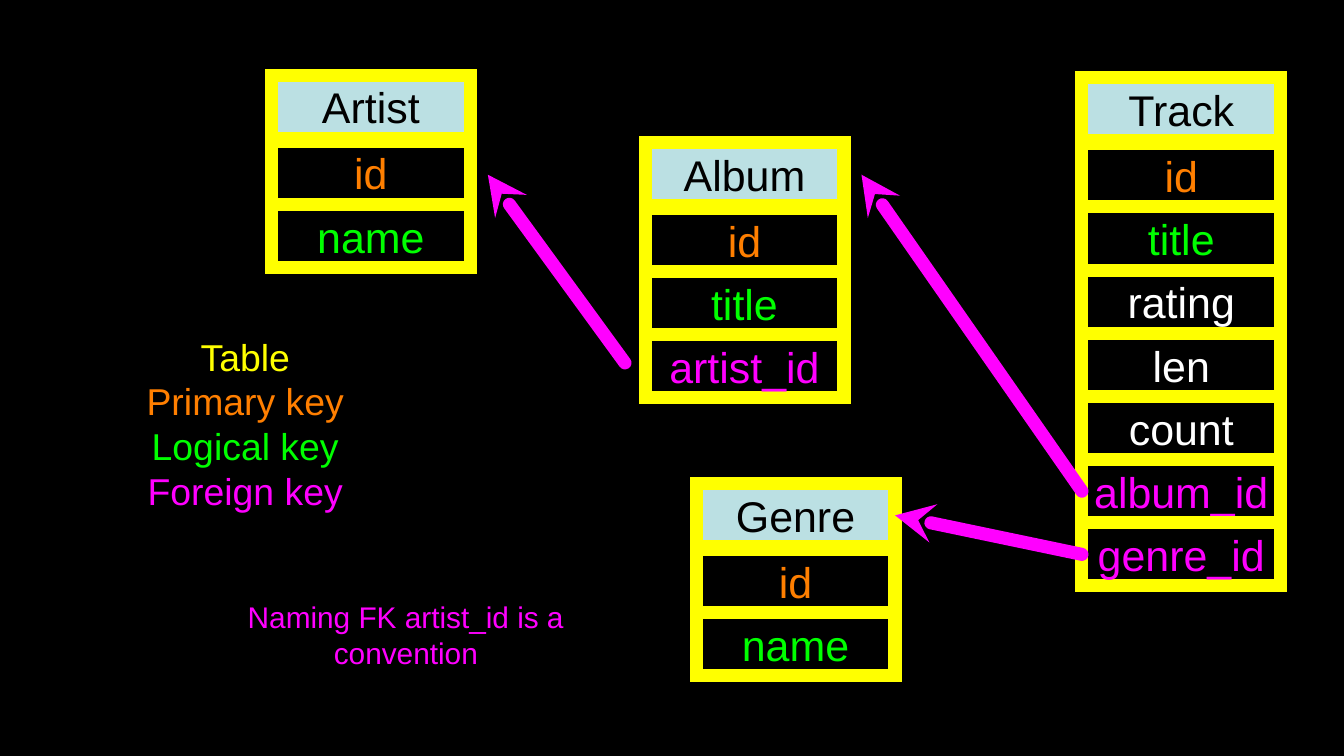
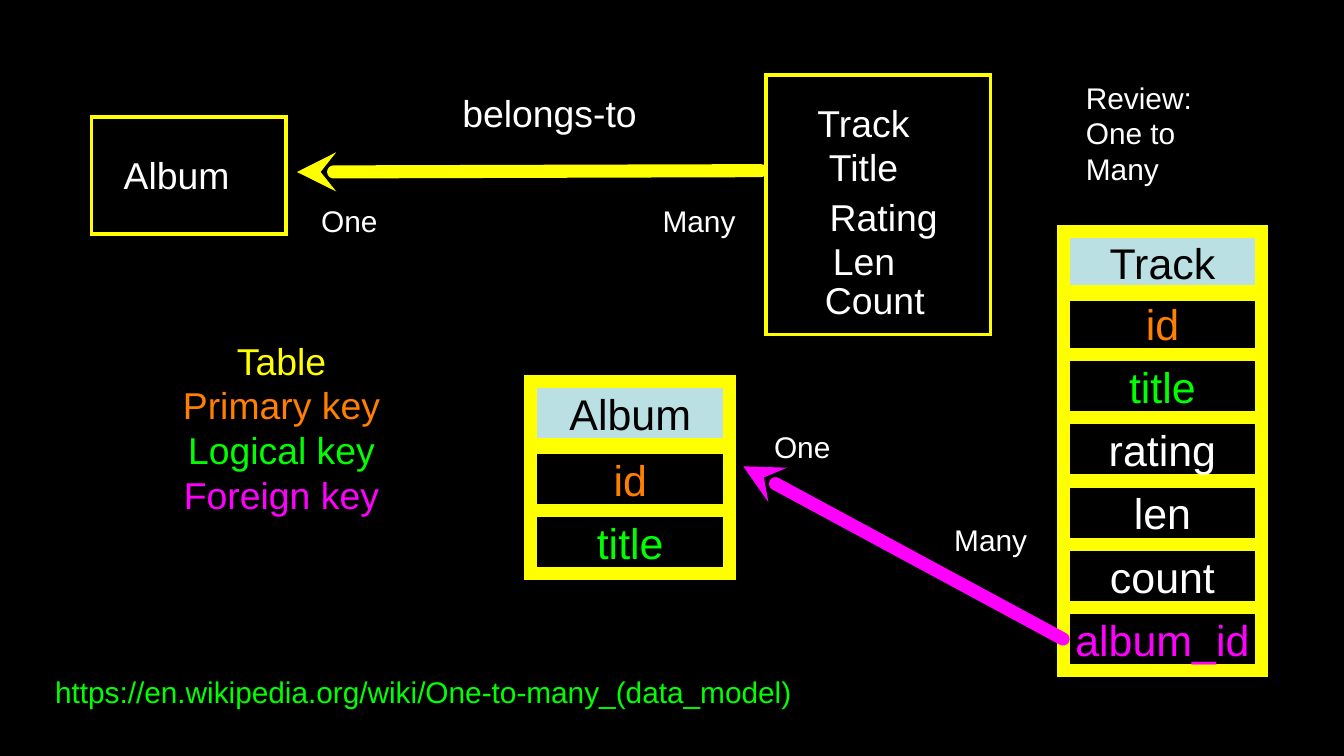
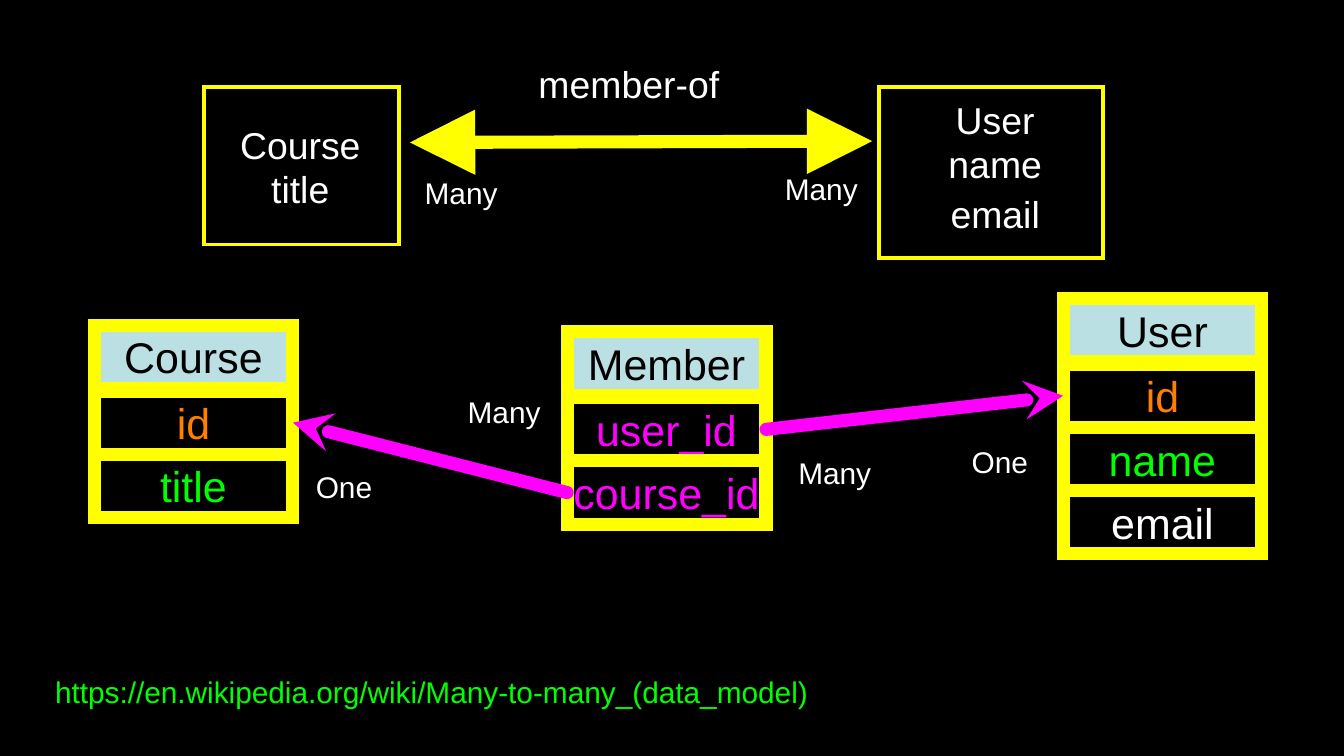
from dataclasses import dataclass
from typing import Optional

from lxml import etree
from pptx import Presentation
from pptx.dml.color import RGBColor
from pptx.enum.shapes import MSO_CONNECTOR, MSO_SHAPE
from pptx.enum.text import MSO_ANCHOR, PP_ALIGN
from pptx.oxml.ns import qn
from pptx.shapes.autoshape import Shape
from pptx.slide import Slide
from pptx.util import Inches, Pt

RECTANGLE = MSO_SHAPE.RECTANGLE
STRAIGHT = MSO_CONNECTOR.STRAIGHT
MIDDLE, TOP = MSO_ANCHOR.MIDDLE, MSO_ANCHOR.TOP
CENTER, LEFT = PP_ALIGN.CENTER, PP_ALIGN.LEFT
LEFT_SIDE, RIGHT_SIDE = 1, 3

COLORS = {
    "background": "000000",
    "header": "BBE0E3",
    "header_text": "000000",
    "table": "FFFF00",
    "primary": "FF7F00",
    "logical": "00FF00",
    "foreign": "FF00FF",
    "plain": "FFFFFF",
}
FONT = "Arial"
CELL_SIZE, CAPTION_SIZE, NOTE_SIZE = 23, 20, 16
THICK, THIN = 7, 2
CELL_WIDTH, CELL_HEIGHT = 1.48, 0.47
HEADER_STEP, ROW_STEP = 0.49, 0.47
BLANK_LAYOUT = 6

Line = tuple[str, str]
Point = tuple[float, float]


@dataclass(frozen=True)
class Table:
    name: str
    left: float
    top: float
    fields: tuple[Line, ...]
    header_step: float = HEADER_STEP


@dataclass(frozen=True)
class Entity:
    left: float
    top: float
    width: float
    height: float


@dataclass(frozen=True)
class Caption:
    text: str
    left: float
    top: float
    width: float
    height: float = 0.38
    role: str = "plain"
    size: int = CAPTION_SIZE


@dataclass(frozen=True)
class Note:
    text: str
    left: float
    top: float
    width: float = 0.75
    height: float = 0.32
    role: str = "plain"


@dataclass(frozen=True)
class Joint:
    cell: Shape
    side: int


@dataclass(frozen=True)
class Arrow:
    start: Point | Joint
    end: Point | Joint
    role: str = "foreign"
    head: str = "stealth"
    tail: Optional[str] = None
    head_size: str = "med"


ID = ("id", "primary")
NAME = ("name", "logical")
TITLE = ("title", "logical")
ALBUM_ID = ("album_id", "foreign")
TRACK_DETAILS = (("rating", "plain"), ("len", "plain"), ("count", "plain"))
LEGEND = (
    ("Table", "table"),
    ("Primary key", "primary"),
    ("Logical key", "logical"),
    ("Foreign key", "foreign"),
)


def color(role: str) -> RGBColor:
    return RGBColor.from_string(COLORS[role])


def write(shape: Shape, lines: tuple[Line, ...], size: int, centered: bool = True) -> None:
    frame = shape.text_frame
    frame.word_wrap = True
    frame.vertical_anchor = MIDDLE if centered else TOP
    frame.margin_left = frame.margin_right = Inches(0 if centered else 0.06)
    frame.margin_top = frame.margin_bottom = Inches(0 if centered else 0.03)
    for index, (text, role) in enumerate(lines):
        paragraph = frame.paragraphs[0] if index == 0 else frame.add_paragraph()
        paragraph.alignment = CENTER if centered else LEFT
        run = paragraph.add_run()
        run.text = text
        run.font.name = FONT
        run.font.size = Pt(size)
        run.font.color.rgb = color(role)


def add_text(slide: Slide, left: float, top: float, width: float, height: float,
             lines: tuple[Line, ...], size: int, centered: bool = True) -> None:
    box = slide.shapes.add_textbox(Inches(left), Inches(top), Inches(width), Inches(height))
    write(box, lines, size, centered)


def add_frame(slide: Slide, left: float, top: float, width: float, height: float,
              weight: int) -> Shape:
    frame = slide.shapes.add_shape(
        RECTANGLE, Inches(left), Inches(top), Inches(width), Inches(height))
    frame.shadow.inherit = False
    frame.fill.background()
    frame.line.color.rgb = color("table")
    frame.line.width = Pt(weight)
    etree.SubElement(frame.line._get_or_add_ln(), qn("a:miter"), lim="800000")
    return frame


def add_table_diagram(slide: Slide, table: Table) -> dict[str, Shape]:
    header = add_frame(slide, table.left, table.top, CELL_WIDTH, CELL_HEIGHT, THICK)
    header.fill.solid()
    header.fill.fore_color.rgb = color("header")
    write(header, ((table.name, "header_text"),), CELL_SIZE)
    cells = {table.name: header}
    for row, field in enumerate(table.fields):
        top = table.top + table.header_step + row * ROW_STEP
        cell = add_frame(slide, table.left, top, CELL_WIDTH, CELL_HEIGHT, THICK)
        write(cell, (field,), CELL_SIZE)
        cells[field[0]] = cell
    return cells


def add_entity(slide: Slide, entity: Entity) -> None:
    add_frame(slide, entity.left, entity.top, entity.width, entity.height, THIN)


def add_caption(slide: Slide, caption: Caption) -> None:
    add_text(slide, caption.left, caption.top, caption.width, caption.height,
             ((caption.text, caption.role),), caption.size)


def add_note(slide: Slide, note: Note) -> None:
    lines = tuple((line, note.role) for line in note.text.split("\n"))
    add_text(slide, note.left, note.top, note.width, note.height, lines, NOTE_SIZE, False)


def add_source(slide: Slide, address: str) -> None:
    add_note(slide, Note(address, 0.35, 4.98, 5.92, role="logical"))


def add_legend(slide: Slide, left: float, top: float, width: float) -> None:
    add_text(slide, left, top, width, 1.34, LEGEND, CAPTION_SIZE)


def add_arrow(slide: Slide, arrow: Arrow) -> None:
    points = [(0, 0) if isinstance(place, Joint) else place
              for place in (arrow.start, arrow.end)]
    connector = slide.shapes.add_connector(
        STRAIGHT, *(Inches(value) for point in points for value in point))
    if isinstance(arrow.start, Joint):
        connector.begin_connect(arrow.start.cell, arrow.start.side)
    if isinstance(arrow.end, Joint):
        connector.end_connect(arrow.end.cell, arrow.end.side)
    connector.line.color.rgb = color(arrow.role)
    connector.line.width = Pt(THICK)
    line = connector.line._get_or_add_ln()
    line.set("cap", "rnd")
    etree.SubElement(line, qn("a:round"))
    for tag, kind in (("a:headEnd", arrow.head), ("a:tailEnd", arrow.tail)):
        if kind:
            etree.SubElement(line, qn(tag), type=kind, w=arrow.head_size, len=arrow.head_size)
    etree.SubElement(connector._element.spPr, qn("a:effectLst"))


def build_music_schema(slide: Slide) -> None:
    add_table_diagram(slide, Table("Album", 4.8, 1.06, (ID, TITLE, ("artist_id", "foreign"))))
    track = add_table_diagram(slide, Table(
        "Track", 8.05, 0.58, (ID, TITLE, *TRACK_DETAILS, ALBUM_ID, ("genre_id", "foreign"))))
    add_arrow(slide, Arrow((6.41, 1.3), Joint(track["album_id"], LEFT_SIDE)))
    add_legend(slide, 0.73, 2.48, 2.19)
    add_table_diagram(slide, Table("Artist", 2.02, 0.56, (ID, NAME)))
    genre = add_table_diagram(slide, Table("Genre", 5.18, 3.6, (ID, NAME)))
    add_arrow(slide, Arrow(Joint(genre["Genre"], RIGHT_SIDE),
                           Joint(track["genre_id"], LEFT_SIDE)))
    add_arrow(slide, Arrow((3.63, 1.3), (4.65, 2.7)))
    add_caption(slide, Caption("Naming FK artist_id is a convention",
                               1.65, 4.44, 2.74, 0.56, "foreign", NOTE_SIZE))


def build_one_to_many(slide: Slide) -> None:
    add_entity(slide, Entity(5.7, 0.56, 1.67, 1.93))
    add_caption(slide, Caption("Album", 0.83, 1.11, 0.97))
    add_entity(slide, Entity(0.68, 0.87, 1.45, 0.87))
    add_arrow(slide, Arrow((2.21, 1.28), (5.66, 1.27), "table"))
    add_caption(slide, Caption("belongs-to", 3.31, 0.65, 1.56))
    add_table_diagram(slide, Table("Album", 3.95, 2.84, (ID, TITLE)))
    track = add_table_diagram(slide, Table(
        "Track", 7.91, 1.72, (ID, TITLE, *TRACK_DETAILS, ALBUM_ID), header_step=0.45))
    add_arrow(slide, Arrow((5.53, 3.47), Joint(track["album_id"], LEFT_SIDE)))
    add_legend(slide, 1.12, 2.51, 1.95)
    for caption in (
        Caption("Track", 6, 0.72, 0.85),
        Caption("Len", 6.11, 1.75, 0.64),
        Caption("Rating", 6.08, 1.42, 0.99),
        Caption("Count", 6.11, 2.04, 0.8),
        Caption("Title", 6.05, 1.05, 0.75),
    ):
        add_caption(slide, caption)
    for note in (
        Note("Many", 7.04, 3.85),
        Note("One", 5.7, 3.16, 0.8),
    ):
        add_note(slide, note)
    add_source(slide, "https://en.wikipedia.org/wiki/One-to-many_(data_model)")
    for note in (
        Note("Review:\nOne to Many", 8.02, 0.56, 1.38, 0.59),
        Note("Many", 4.87, 1.48),
        Note("One", 2.33, 1.48),
    ):
        add_note(slide, note)


def build_many_to_many(slide: Slide) -> None:
    add_entity(slide, Entity(6.54, 0.65, 1.67, 1.27))
    add_entity(slide, Entity(1.52, 0.65, 1.45, 1.17))
    add_text(slide, 1.75, 0.89, 0.97, 0.7,
             (("Course", "plain"), ("title", "plain")), CAPTION_SIZE)
    add_arrow(slide, Arrow((3.05, 1.06), (6.49, 1.05), "table", "triangle", "triangle", "lg"))
    add_caption(slide, Caption("member-of", 3.9, 0.43, 1.56))
    member = add_table_diagram(slide, Table(
        "Member", 4.22, 2.47, (("user_id", "foreign"), ("course_id", "foreign"))))
    user = add_table_diagram(slide, Table("User", 7.91, 2.22, (ID, NAME, ("email", "plain"))))
    for caption in (
        Caption("User", 6.98, 0.7, 0.85),
        Caption("email", 6.91, 1.4, 0.99),
        Caption("name", 7.03, 1.03, 0.75),
    ):
        add_caption(slide, caption)
    course = add_table_diagram(slide, Table("Course", 0.7, 2.42, (ID, TITLE)))
    for arrow in (
        Arrow(Joint(course["id"], RIGHT_SIDE), Joint(member["course_id"], LEFT_SIDE)),
        Arrow(Joint(user["id"], LEFT_SIDE), Joint(member["user_id"], RIGHT_SIDE)),
    ):
        add_arrow(slide, arrow)
    for note in (
        Note("Many", 5.88, 3.35),
        Note("One", 7.17, 3.27),
        Note("Many", 5.78, 1.24),
        Note("Many", 3.1, 1.27),
        Note("One", 2.29, 3.46),
        Note("Many", 3.42, 2.9),
    ):
        add_note(slide, note)
    add_source(slide, "https://en.wikipedia.org/wiki/Many-to-many_(data_model)")


def main() -> None:
    deck = Presentation()
    deck.slide_width = Inches(10)
    deck.slide_height = deck.slide_width * 9 // 16
    background = deck.slide_master.background.fill
    background.solid()
    background.fore_color.rgb = color("background")
    for build in (build_music_schema, build_one_to_many, build_many_to_many):
        build(deck.slides.add_slide(deck.slide_layouts[BLANK_LAYOUT]))
    deck.save("out.pptx")


if __name__ == "__main__":
    main()
